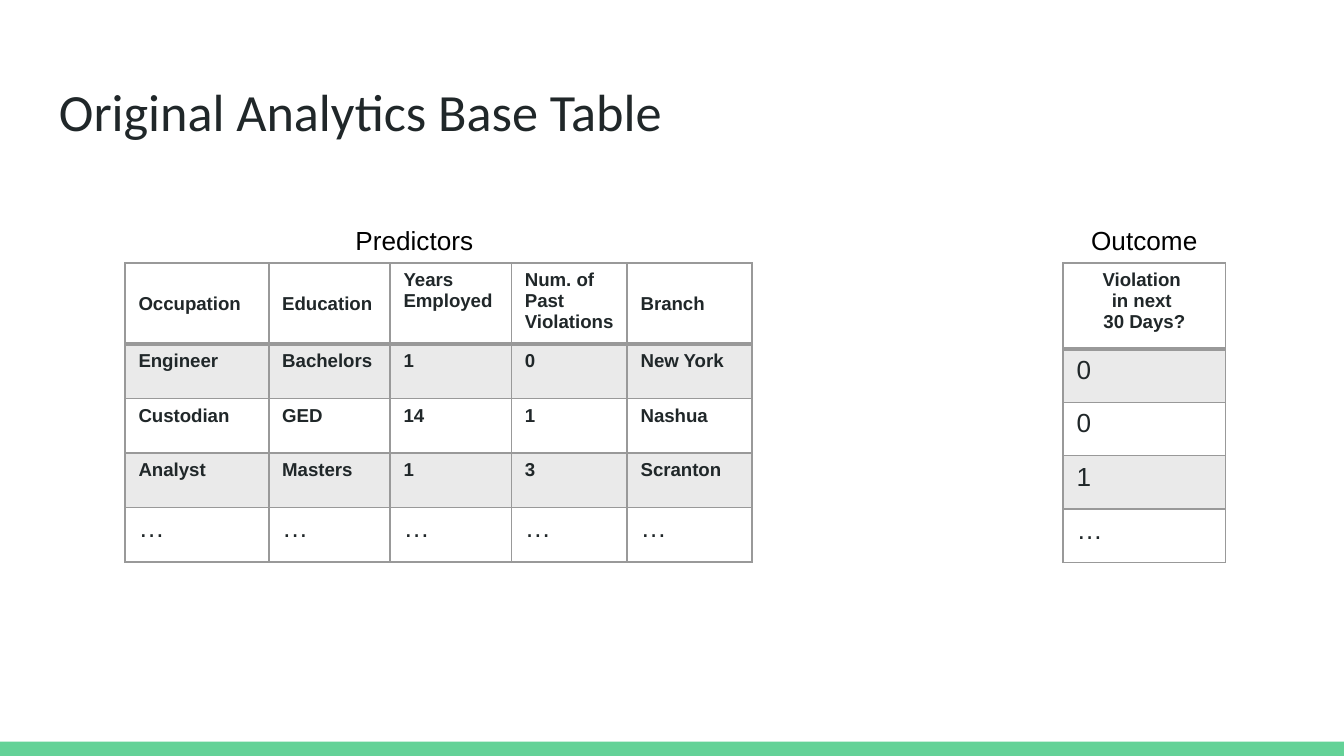
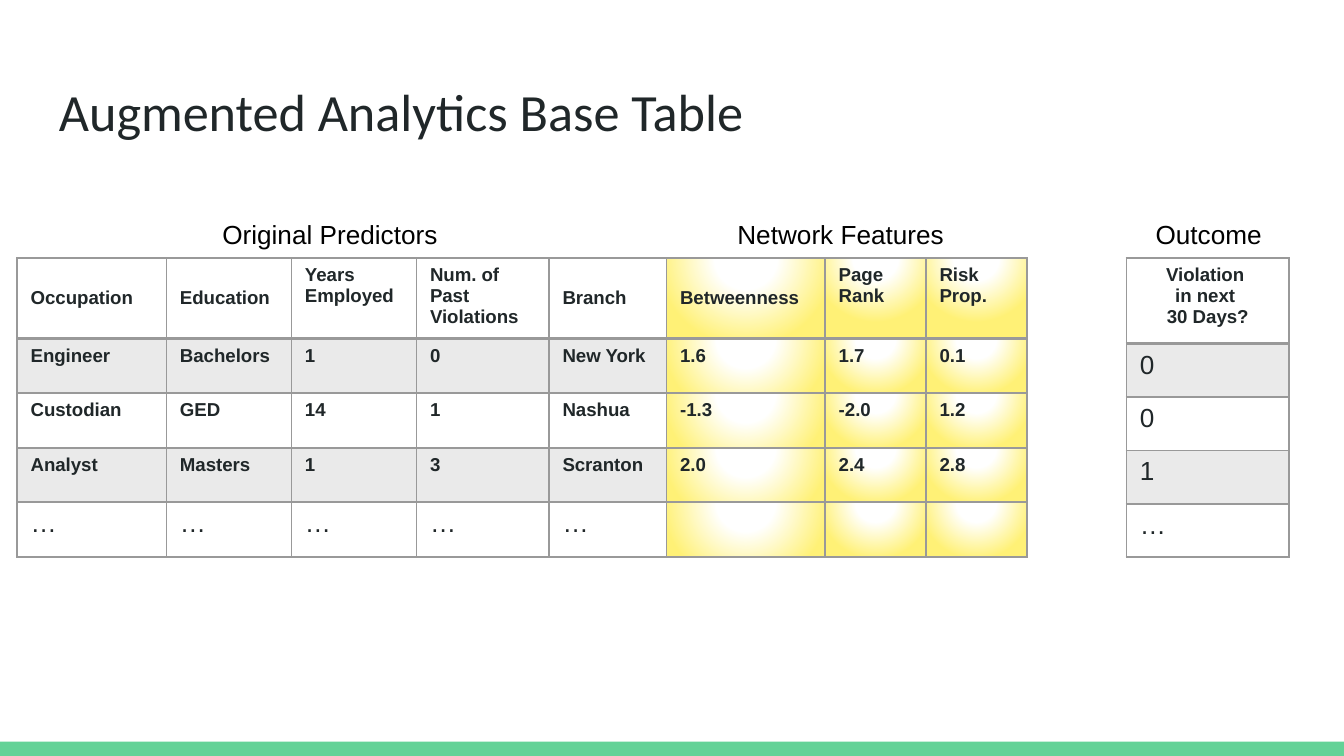
from dataclasses import dataclass

from lxml import etree
from pptx import Presentation
from pptx.dml.color import RGBColor
from pptx.enum.shapes import MSO_SHAPE
from pptx.enum.text import MSO_ANCHOR, PP_ALIGN
from pptx.oxml import parse_xml
from pptx.oxml.ns import nsdecls, qn
from pptx.util import Pt

RECT = MSO_SHAPE.RECTANGLE
TOP, MIDDLE = MSO_ANCHOR.TOP, MSO_ANCHOR.MIDDLE
LEFT, CENTER = PP_ALIGN.LEFT, PP_ALIGN.CENTER

WHITE = RGBColor(0xFF, 0xFF, 0xFF)
BLACK = RGBColor(0x00, 0x00, 0x00)
INK = RGBColor(0x20, 0x27, 0x29)
GREEN = RGBColor(0x63, 0xD2, 0x97)
GRAY = RGBColor(0x99, 0x99, 0x99)
YELLOW = RGBColor(0xFF, 0xF1, 0x76)

HEAD_FONT, BODY_FONT = "Calibri", "Arial"
SLIDE_W, SLIDE_H, BAND_H = 720, 405, 7.6
CAPTION_W, CAPTION_H = 180.7, 24.5

# Table contents shared by both slides
PREDICTORS = [
    ["Occupation", "Education", "Years Employed", "Num. of Past Violations", "Branch"],
    ["Engineer", "Bachelors", "1", "0", "New York"],
    ["Custodian", "GED", "14", "1", "Nashua"],
    ["Analyst", "Masters", "1", "3", "Scranton"],
    ["…"] * 5,
]
FEATURES = [
    ["Betweenness", "Page Rank", "Risk Prop."],
    ["1.6", "1.7", "0.1"],
    ["-1.3", "-2.0", "1.2"],
    ["2.0", "2.4", "2.8"],
    [""] * 3,
]
OUTCOME = [["Violation \nin next \n30 Days?"], ["0"], ["0"], ["1"], ["…"]]


@dataclass(frozen=True)
class Caption:
    text: str
    center: float


@dataclass(frozen=True)
class Grid:
    left: float
    cols: list[float]
    head_h: float
    row_h: float
    rows: list[list[str]]
    plain_cols: int  # columns before the highlighted ones
    body_size: float
    body_bold: bool
    head_align: PP_ALIGN = LEFT


@dataclass(frozen=True)
class TableSlide:
    title: str
    top: float
    grids: list[Grid]
    captions: list[Caption]


def outcome_grid(left: float) -> Grid:
    return Grid(left, [87], 46, 28.6, OUTCOME, 1, 14, False, CENTER)


def predictor_grid(left: float, cols: list[float], rows: list[list[str]]) -> Grid:
    return Grid(left, cols, 40.8, 29.2, rows, 5, 10, True)


SLIDES = [
    TableSlide(
        "Original Analytics Base Table", 141,
        [predictor_grid(67, [77, 65, 65, 62, 67], PREDICTORS), outcome_grid(569.5)],
        [Caption("Predictors", 222), Caption("Outcome", 613)],
    ),
    TableSlide(
        "Augmented Analytics Base Table", 138.2,
        [
            predictor_grid(9.2, [80, 67, 67, 71, 63, 85, 54, 54],
                           [p + f for p, f in zip(PREDICTORS, FEATURES)]),
            outcome_grid(603.5),
        ],
        [Caption("Original Predictors", 176.8), Caption("Network Features", 450.4),
         Caption("Outcome", 647.5)],
    ),
]


def write(tf, text: str, font: str, size: float, color: RGBColor,
          bold: bool = False, align: PP_ALIGN = LEFT) -> None:
    for i, line in enumerate(text.split("\n")):
        p = tf.paragraphs[0] if i == 0 else tf.add_paragraph()
        p.text = line
        p.alignment = align
        p.font.name, p.font.size, p.font.bold = font, Pt(size), bold
        p.font.color.rgb = color


def add_text(s, x: float, y: float, w: float, h: float, text: str, font: str,
             size: float, color: RGBColor, align: PP_ALIGN = LEFT,
             inset: float = 3.6) -> None:
    tf = s.shapes.add_textbox(Pt(x), Pt(y), Pt(w), Pt(h)).text_frame
    tf.word_wrap = True
    tf.vertical_anchor = TOP
    tf.margin_top = tf.margin_bottom = Pt(inset)
    write(tf, text, font, size, color, align=align)


def set_borders(cell, bottom: float) -> None:
    tc_pr = cell._tc.get_or_add_tcPr()
    for side, width in (("L", 1), ("R", 1), ("T", 1), ("B", bottom)):
        tc_pr.append(parse_xml(
            f'<a:ln{side} {nsdecls("a")} w="{Pt(width)}"><a:solidFill>'
            f'<a:srgbClr val="{GRAY}"/></a:solidFill></a:ln{side}>'))


def fill_shaded(cell) -> None:
    cell.fill.solid()
    cell.fill.fore_color.rgb = GRAY
    clr = cell._tc.tcPr.find(qn("a:solidFill"))[0]
    etree.SubElement(clr, qn("a:alpha"), val="20000")


def fill_glow(cell) -> None:
    stops = "".join(f'<a:gs pos="{pos}000"><a:srgbClr val="{c}"/></a:gs>'
                    for pos, c in ((0, WHITE), (35, WHITE), (100, YELLOW)))
    cell._tc.tcPr.append(parse_xml(
        f'<a:gradFill {nsdecls("a")}><a:gsLst>{stops}</a:gsLst><a:path path="circle">'
        '<a:fillToRect l="50000" t="-80000" r="50000" b="180000"/></a:path></a:gradFill>'))


def add_grid(s, top: float, g: Grid) -> None:
    heights = [g.head_h] + [g.row_h] * (len(g.rows) - 1)
    table = s.shapes.add_table(len(g.rows), len(g.cols), Pt(g.left), Pt(top),
                               Pt(sum(g.cols)), Pt(sum(heights))).table
    table.first_row = table.horz_banding = False
    for col, width in zip(table.columns, g.cols):
        col.width = Pt(width)
    for row, height in zip(table.rows, heights):
        row.height = Pt(height)

    for i, texts in enumerate(g.rows):
        for j, text in enumerate(texts):
            cell, head = table.cell(i, j), i == 0
            set_borders(cell, 2 if head else 1)
            if j >= g.plain_cols:
                fill_glow(cell)
            elif i % 2:
                fill_shaded(cell)
            else:
                cell.fill.background()
            # One-word headings sit mid-row; the others start at the top
            one_word = head and len(text.split()) == 1
            cell.vertical_anchor = MIDDLE if one_word else TOP
            size = 10 if head else 14 if text == "…" else g.body_size
            bold = head or (g.body_bold and text != "…")
            write(cell.text_frame, text, BODY_FONT, size, INK, bold,
                  g.head_align if head else LEFT)


def add_slide(prs, spec: TableSlide) -> None:
    s = prs.slides.add_slide(prs.slide_layouts[6])
    s.background.fill.solid()
    s.background.fill.fore_color.rgb = WHITE

    # Bottom band
    band = s.shapes.add_shape(RECT, 0, Pt(SLIDE_H - BAND_H), Pt(SLIDE_W), Pt(BAND_H))
    band.shadow.inherit = False
    band.fill.solid()
    band.fill.fore_color.rgb = GREEN
    band.line.fill.background()

    # Title, tables and their captions
    add_text(s, 24.5, 35.3, 671, 45.4, spec.title, HEAD_FONT, 28, INK, inset=7.2)
    for g in spec.grids:
        add_grid(s, spec.top, g)
    for c in spec.captions:
        add_text(s, c.center - CAPTION_W / 2, spec.top - CAPTION_H, CAPTION_W, CAPTION_H,
                 c.text, BODY_FONT, 14, BLACK, CENTER)


def main() -> None:
    prs = Presentation()
    prs.slide_width, prs.slide_height = Pt(SLIDE_W), Pt(SLIDE_H)
    for spec in SLIDES:
        add_slide(prs, spec)
    prs.save("out.pptx")


if __name__ == "__main__":
    main()
